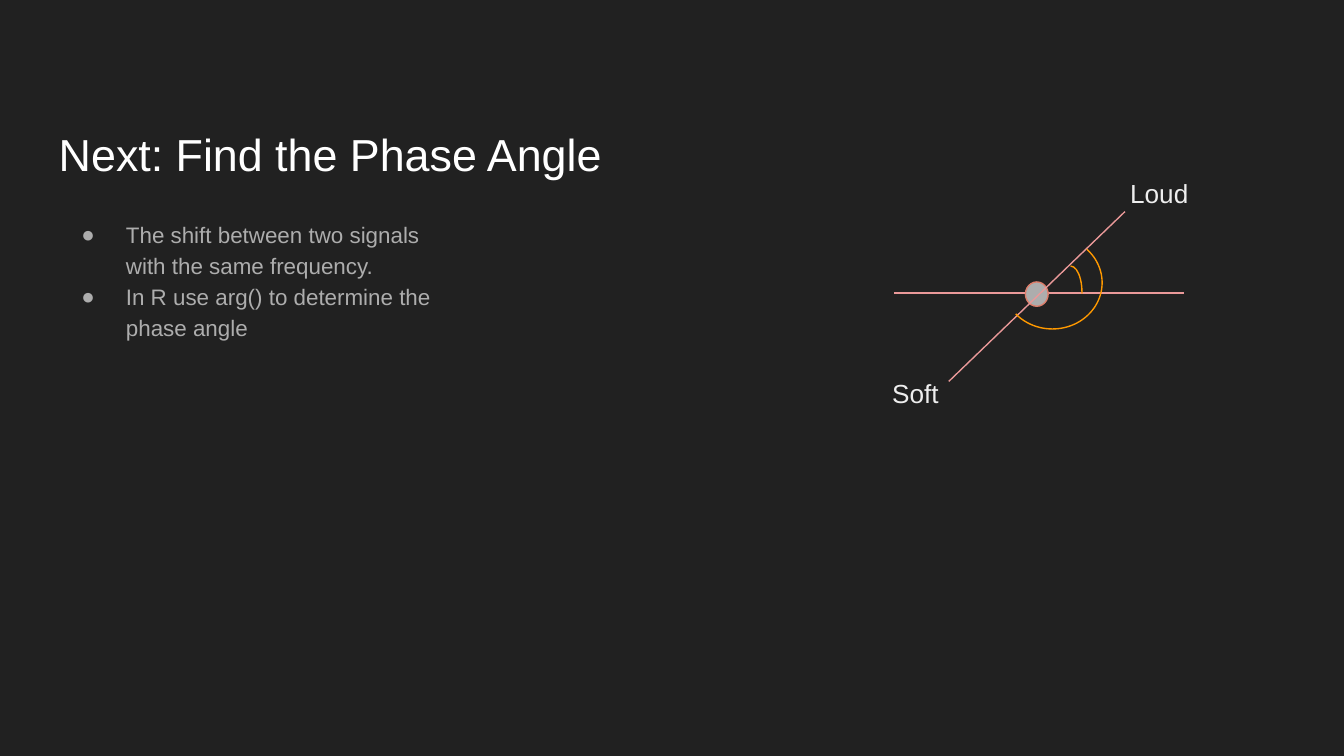
from dataclasses import dataclass

from lxml.etree import SubElement
from pptx import Presentation
from pptx.dml.color import RGBColor as Color
from pptx.enum.shapes import MSO_CONNECTOR as Connector, MSO_SHAPE as Preset
from pptx.enum.text import MSO_ANCHOR as Anchor, MSO_AUTO_SIZE as AutoSize, PP_ALIGN as Align
from pptx.oxml.ns import qn
from pptx.util import Cm, Pt


@dataclass(frozen=True)
class Theme:
    font: str = "Arial"
    background: str = "212121"
    title: str = "FFFFFF"
    body: str = "ADADAD"
    label: str = "EEEEEE"
    axis: str = "EA9999"
    origin_line: str = "DD7E6B"
    arc: str = "FF9900"
    title_size: int = 24
    body_size: int = 12
    label_size: int = 14
    line_width: float = 0.75


THEME = Theme()

# Boxes are left, top, width, height in centimetres.
TITLE = "Next: Find the Phase Angle"
TITLE_BOX = (0.86, 1.55, 22.71, 2.11)
BULLETS = [
    "The shift between two signals with the same frequency.",
    "In R use arg() to determine the phase angle",
]
BODY_BOX = (0.86, 3.86, 7.8, 8.84)
HORIZONTAL_AXIS = [(16.9, 5.54, 19.81, 5.54), (19.81, 5.54, 22.38, 5.54)]
SIGNAL_AXIS = (17.93, 7.21, 21.26, 4.0)
ORIGIN_BOX = (19.38, 5.33, 0.43, 0.46)
LABELS = [
    ("Loud", (21.11, 3.1, 3.33, 0.76)),
    ("Soft", (16.61, 6.91, 1.68, 0.46)),
]
# Box, then start and end angle in degrees, clockwise from the right.
ARCS = [
    ((20.02, 5.03, 0.43, 0.99), (270, 7.1)),
    ((18.95, 4.47, 1.88, 1.75), (315.9, 139.6)),
]
ARC_UNITS_PER_DEGREE = 0.6


def lengths(values):
    return [Cm(value) for value in values]


def place(shape, box):
    shape.left, shape.top, shape.width, shape.height = lengths(box)


def format_frame(frame, anchor=Anchor.TOP):
    frame.word_wrap = True
    frame.auto_size = AutoSize.NONE
    frame.vertical_anchor = anchor
    frame.margin_left = frame.margin_right = Cm(0.25)
    frame.margin_top = frame.margin_bottom = Cm(0.25)


def add_run(paragraph, text, size, color):
    paragraph.alignment = Align.LEFT
    run = paragraph.add_run()
    run.text = text
    run.font.name = THEME.font
    run.font.size = Pt(size)
    run.font.color.rgb = Color.from_string(color)


def add_bullet(paragraph):
    paragraph.line_spacing = 1.15
    paragraph.space_before = paragraph.space_after = Pt(0)
    properties = paragraph._p.get_or_add_pPr()
    properties.set("marL", str(Cm(1.27)))
    properties.set("indent", str(Cm(-0.84)))
    bullet_color = SubElement(properties, qn("a:buClr"))
    SubElement(bullet_color, qn("a:srgbClr"), val=THEME.body)
    SubElement(properties, qn("a:buFont"), typeface=THEME.font)
    SubElement(properties, qn("a:buChar"), char="●")


def set_line(shape, color):
    shape.line.color.rgb = Color.from_string(color)
    shape.line.width = Pt(THEME.line_width)


def add_axis(slide, ends):
    connector = slide.shapes.add_connector(Connector.STRAIGHT, *lengths(ends))
    set_line(connector, THEME.axis)
    SubElement(connector._element.spPr, qn("a:effectLst"))


def add_outlined(slide, preset, box, color):
    shape = slide.shapes.add_shape(preset, *lengths(box))
    shape.shadow.inherit = False
    set_line(shape, color)
    return shape


def add_text(slide):
    title, body = slide.placeholders
    place(title, TITLE_BOX)
    format_frame(title.text_frame, Anchor.BOTTOM)
    add_run(title.text_frame.paragraphs[0], TITLE, THEME.title_size, THEME.title)

    place(body, BODY_BOX)
    format_frame(body.text_frame)
    for index, text in enumerate(BULLETS):
        frame = body.text_frame
        paragraph = frame.add_paragraph() if index else frame.paragraphs[0]
        add_run(paragraph, text, THEME.body_size, THEME.body)
        add_bullet(paragraph)


def add_diagram(slide):
    for ends in HORIZONTAL_AXIS:
        add_axis(slide, ends)
    origin = add_outlined(slide, Preset.OVAL, ORIGIN_BOX, THEME.origin_line)
    origin.fill.solid()
    origin.fill.fore_color.rgb = Color.from_string(THEME.body)
    add_axis(slide, SIGNAL_AXIS)

    for text, box in LABELS:
        label = slide.shapes.add_textbox(*lengths(box))
        format_frame(label.text_frame)
        add_run(label.text_frame.paragraphs[0], text, THEME.label_size, THEME.label)

    for box, angles in ARCS:
        arc = add_outlined(slide, Preset.ARC, box, THEME.arc)
        arc.fill.background()
        for index, angle in enumerate(angles):
            arc.adjustments[index] = angle * ARC_UNITS_PER_DEGREE


def main():
    presentation = Presentation()
    presentation.slide_width, presentation.slide_height = Cm(25.4), Cm(14.29)
    slide = presentation.slides.add_slide(presentation.slide_layouts[1])
    slide.background.fill.solid()
    slide.background.fill.fore_color.rgb = Color.from_string(THEME.background)
    add_text(slide)
    add_diagram(slide)
    presentation.save("out.pptx")


if __name__ == "__main__":
    main()
